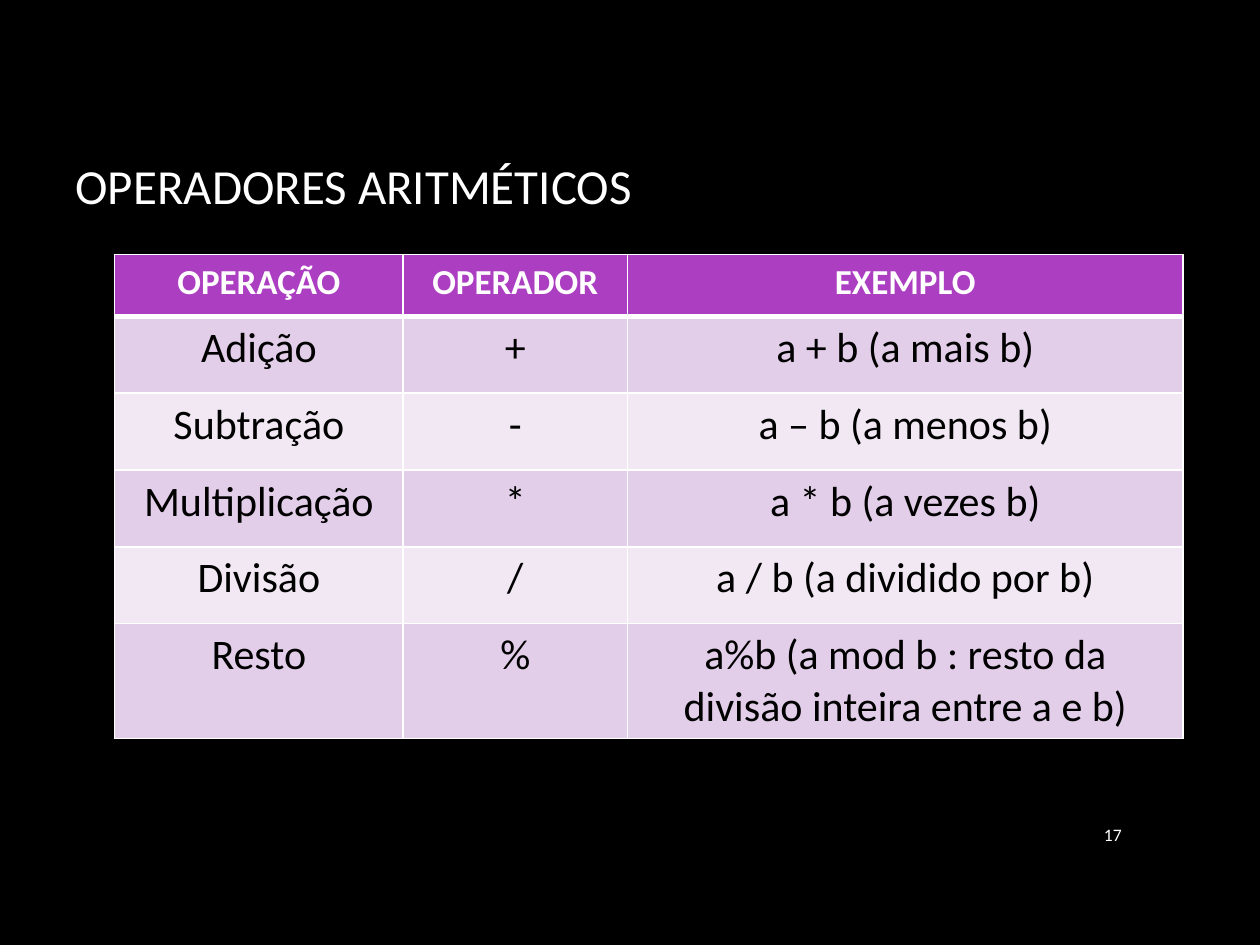
from dataclasses import dataclass

from lxml.etree import SubElement
from pptx import Presentation
from pptx.dml.color import RGBColor
from pptx.enum.text import MSO_ANCHOR, PP_ALIGN
from pptx.oxml.ns import qn
from pptx.util import Inches, Pt


@dataclass(frozen=True)
class Theme:
    """Colours, font and type sizes of the slide."""

    font: str = "Calibri"
    background: str = "000000"
    light: str = "FFFFFF"
    dark: str = "000000"
    header: str = "AC3EC1"
    bands: tuple = ("E3CEE9", "F1E8F4")
    title_size: int = 28
    header_size: int = 20
    body_size: int = 24
    number_size: int = 10
    thin_line: int = 1
    thick_line: int = 3


THEME = Theme()
COLUMNS = (2.29, 1.78, 4.41)
HEADER_HEIGHT, ROW_HEIGHT = 0.49, 0.61
ROWS = (
    ("OPERAÇÃO", "OPERADOR", "EXEMPLO"),
    ("Adição", "+", "a + b (a mais b)"),
    ("Subtração", "-", "a – b (a menos b)"),
    ("Multiplicação", "*", "a * b (a vezes b)"),
    ("Divisão", "/", "a / b (a dividido por b)"),
    ("Resto", "%", "a%b (a mod b : resto da divisão inteira entre a e b)"),
)


def apply(target, values):
    """Set every attribute named in a dict of format values."""
    for name, value in values.items():
        setattr(target, name, value)


def place(box, left, top, width, height):
    """Move and size a box, in inches."""
    values = {"left": left, "top": top, "width": width, "height": height}
    apply(box, {name: Inches(value) for name, value in values.items()})


def write(frame, text, size, color, align, bold=False):
    """Fill a text frame with one formatted paragraph."""
    para = frame.paragraphs[0]
    para.alignment = align
    span = para.add_run()
    span.text = text
    apply(span.font, {"name": THEME.font, "size": Pt(size), "bold": bold})
    span.font.color.rgb = RGBColor.from_string(color)


def add_title(page, text):
    """Place and format the title placeholder."""
    box = page.shapes.title
    place(box, 0.5, 0.67, 8.5, 1.59)
    apply(box.text_frame, {"word_wrap": True, "vertical_anchor": MSO_ANCHOR.MIDDLE})
    write(box.text_frame, text, THEME.title_size, THEME.light, PP_ALIGN.LEFT)


def add_page_number(page, text):
    """Add the page number at the lower right."""
    box = page.shapes.add_textbox(0, 0, 0, 0)
    place(box, 8.54, 6.42, 0.46, 0.41)
    apply(box.text_frame, {"word_wrap": True, "vertical_anchor": MSO_ANCHOR.MIDDLE})
    write(box.text_frame, text, THEME.number_size, THEME.light, PP_ALIGN.RIGHT)


def set_borders(cell, top, bottom):
    """Draw the four cell borders, with the given top and bottom widths."""
    properties = cell._tc.get_or_add_tcPr()
    widths = {"L": THEME.thin_line, "R": THEME.thin_line, "T": top, "B": bottom}
    for position, (side, width) in enumerate(widths.items()):
        line = SubElement(properties, qn(f"a:ln{side}"), w=str(Pt(width)))
        fill = SubElement(line, qn("a:solidFill"))
        SubElement(fill, qn("a:srgbClr"), val=THEME.light)
        properties.insert(position, line)


def format_cell(cell, text, row):
    """Write and colour a cell according to its row."""
    is_header = row == 0
    color = THEME.header if is_header else THEME.bands[(row - 1) % 2]
    cell.fill.solid()
    cell.fill.fore_color.rgb = RGBColor.from_string(color)
    write(
        cell.text_frame,
        text,
        THEME.header_size if is_header else THEME.body_size,
        THEME.light if is_header else THEME.dark,
        PP_ALIGN.CENTER,
        is_header,
    )
    set_borders(
        cell,
        THEME.thick_line if row == 1 else THEME.thin_line,
        THEME.thick_line if is_header else THEME.thin_line,
    )


def add_operator_table(page):
    """Add the table of arithmetic operators."""
    heights = [HEADER_HEIGHT] + [ROW_HEIGHT] * (len(ROWS) - 1)
    bounds = map(Inches, (0.91, 2.02, sum(COLUMNS), sum(heights)))
    table = page.shapes.add_table(len(ROWS), len(COLUMNS), *bounds).table
    for column, width in zip(table.columns, COLUMNS):
        column.width = Inches(width)
    for row, (texts, height) in enumerate(zip(ROWS, heights)):
        table.rows[row].height = Inches(height)
        for column, text in enumerate(texts):
            format_cell(table.cell(row, column), text, row)


def main():
    """Build the slide and save the deck."""
    deck = Presentation()
    apply(deck, {"slide_width": Inches(10), "slide_height": Inches(7.5)})
    page = deck.slides.add_slide(deck.slide_layouts.get_by_name("Title Only"))
    page.background.fill.solid()
    page.background.fill.fore_color.rgb = RGBColor.from_string(THEME.background)
    add_title(page, "OPERADORES ARITMÉTICOS")
    add_operator_table(page)
    add_page_number(page, "17")
    deck.save("out.pptx")


if __name__ == "__main__":
    main()
